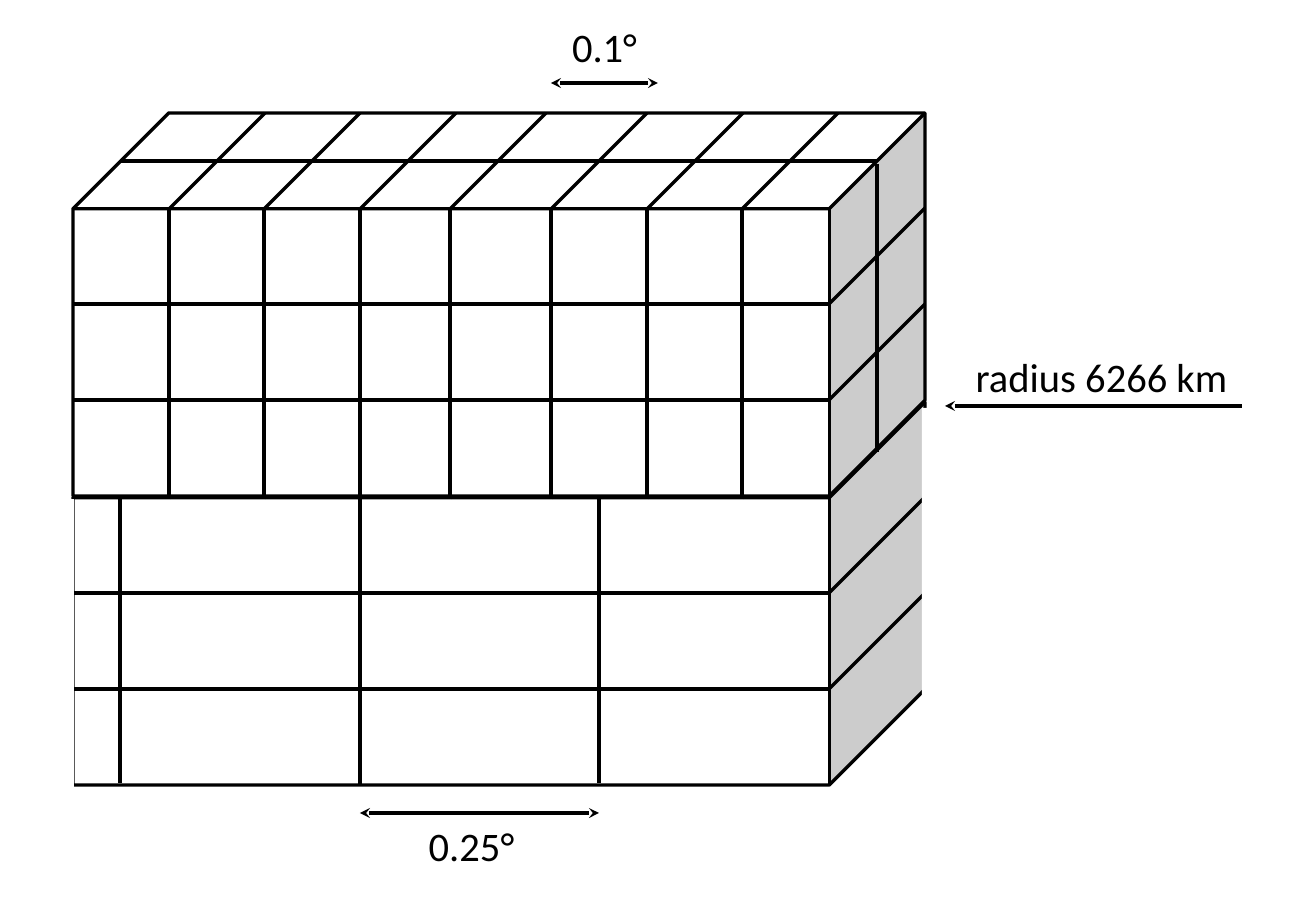
from typing import NamedTuple

from lxml.etree import SubElement
from pptx import Presentation
from pptx.dml.color import RGBColor
from pptx.enum.shapes import MSO_CONNECTOR as Link, MSO_SHAPE as Shape
from pptx.enum.text import MSO_AUTO_SIZE as Fit, PP_ALIGN as Align
from pptx.oxml.ns import qn
from pptx.util import Emu, Pt

SCALE = 914400 / 121.5
HUES = {"ink": "000000", "paper": "FFFFFF"}
LEFT, WIDE, HIGH, DEEP = 73, 852, 383, 96
RIGHT = LEFT + WIDE - DEEP
HALF = DEEP // 2
ROWS = (191, 287)
COLS = (169, 264, 360, 450, 551, 647, 742)
UPPER, LOWER = 113, 402


class Box(NamedTuple):
    left: int
    top: int
    wide: int
    high: int


class Line(NamedTuple):
    x1: int
    y1: int
    x2: int
    y2: int
    ends: tuple[str, ...] = ()


class Label(NamedTuple):
    text: str
    box: Box


def px(size: int) -> Emu:
    return Emu(round(size * SCALE))


def hue(name: str) -> RGBColor:
    return RGBColor.from_string(HUES[name])


deck = Presentation()
deck.slide_width, deck.slide_height = px(1316), px(911)
slide = deck.slides.add_slide(deck.slide_layouts[6])


def draw_shape(kind: Shape, box: Box, edge: bool) -> None:
    shape = slide.shapes.add_shape(kind, *map(px, box))
    shape.shadow.inherit = False
    shape.fill.solid()
    shape.fill.fore_color.rgb = hue("paper")
    if edge:
        shape.line.color.rgb = hue("ink")
        shape.line.width = Pt(2)
    else:
        shape.line.fill.background()


def draw_line(line: Line) -> None:
    link = slide.shapes.add_connector(Link.STRAIGHT, *map(px, line[:4]))
    link.line.color.rgb = hue("ink")
    link.line.width = Pt(2)
    props = link._element.spPr
    for end in line.ends:
        SubElement(props.find(qn("a:ln")), qn(f"a:{end}"), type="stealth")
    SubElement(props, qn("a:effectLst"))


def draw_label(label: Label) -> None:
    frame = slide.shapes.add_textbox(*map(px, label.box)).text_frame
    frame.word_wrap = True
    frame.auto_size = Fit.SHAPE_TO_FIT_TEXT
    frame.text = label.text
    para = frame.paragraphs[0]
    para.alignment = Align.CENTER
    font = para.runs[0].font
    font.name, font.size = "Calibri", Pt(24)
    font.color.rgb = hue("ink")


def draw_block(top: int, cols: tuple[int, ...]) -> None:
    front, base = top + DEEP, top + HIGH
    draw_shape(Shape.CUBE, Box(LEFT, top, WIDE, HIGH), True)
    for x in cols:
        draw_line(Line(x, front, x, base))
    for row in ROWS:
        y = top + row
        draw_line(Line(LEFT, y, RIGHT, y))
        draw_line(Line(RIGHT, y, RIGHT + DEEP, y - DEEP))
    draw_line(Line(LEFT + HALF, top + HALF, RIGHT + HALF, top + HALF))
    for x in COLS:
        draw_line(Line(x, front, x + DEEP, top))


draw_block(LOWER, (360,))
draw_block(UPPER, COLS)

for line in (
    Line(RIGHT + HALF, 164, RIGHT + HALF, 452),
    Line(599, 496, 599, 783),
    Line(120, 496, 120, 783),
):
    draw_line(line)

for mask in (Box(36, 499, 38, 313), Box(922, 408, 38, 313)):
    draw_shape(Shape.RECTANGLE, mask, False)

for arrow in (
    Line(360, 813, 599, 813, ("headEnd", "tailEnd")),
    Line(551, 83, 658, 83, ("headEnd", "tailEnd")),
    Line(1242, 406, 945, 406, ("tailEnd",)),
):
    draw_line(arrow)

for label in (
    Label("0.1°", Box(533, 16, 143, 61)),
    Label("0.25°", Box(400, 815, 143, 61)),
    Label("radius 6266 km", Box(945, 346, 313, 61)),
):
    draw_label(label)

deck.save("out.pptx")
